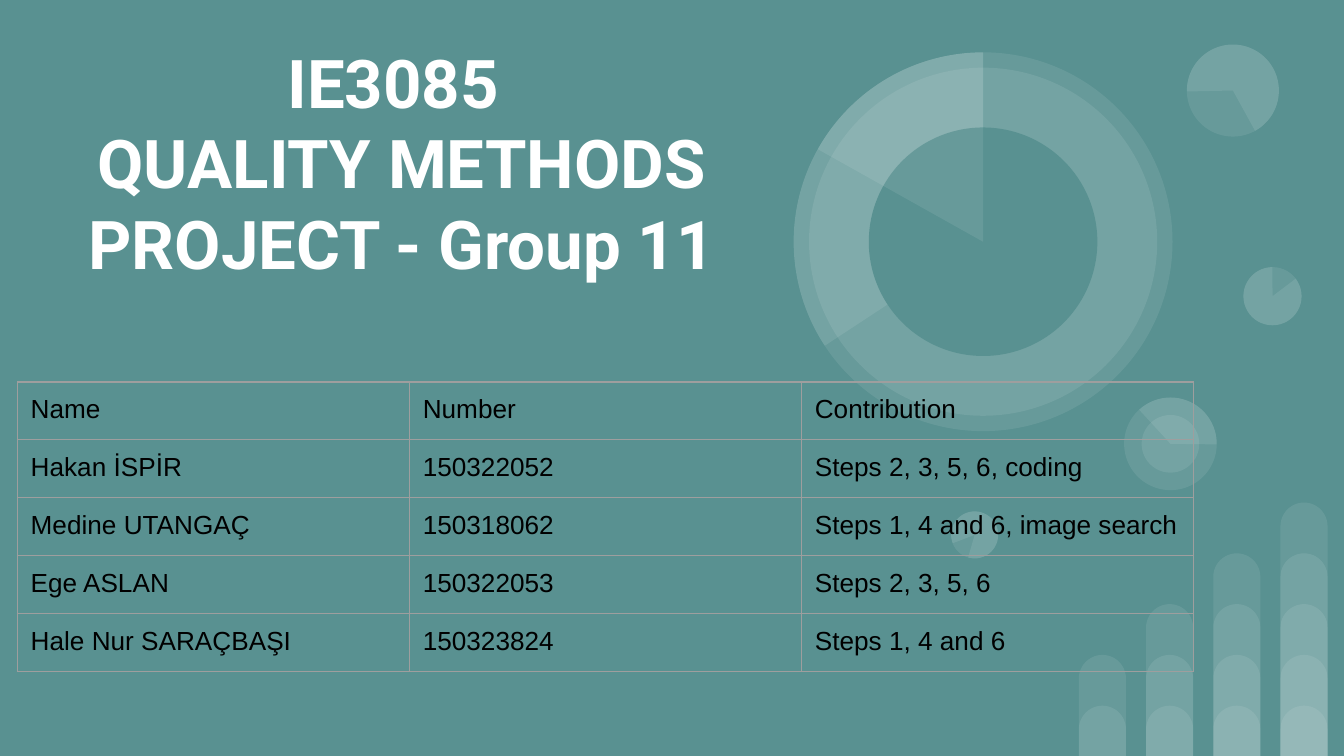
from dataclasses import dataclass
from typing import Any

from pptx import Presentation as Deck
from pptx.dml.color import RGBColor as Rgb
from pptx.enum.shapes import MSO_SHAPE as Form
from pptx.enum.text import MSO_ANCHOR as Anchor, PP_ALIGN as Align
from pptx.oxml.ns import qn
from pptx.util import Cm, Pt
from lxml.etree import SubElement as Sub

HUES = {"teal": "599191", "white": "FFFFFF", "black": "000000", "grey": "9E9E9E"}
WIDE, HIGH = 25.4, 14.29
PAD = Cm(0.25)
PADS = {"margin_left": PAD, "margin_right": PAD, "margin_top": PAD, "margin_bottom": PAD}
HEAD = {"name": "Roboto", "size": Pt(36), "bold": True}
BODY = {"name": "Arial", "size": Pt(14), "bold": False}


@dataclass
class Disc:
    x: float
    y: float
    size: float
    turn: float = 0
    hue: str = "white"
    clear: bool = True


@dataclass
class Slice:
    disc: Disc
    start: float
    end: float = 270


@dataclass
class Stack:
    left: float
    count: int


RING = Disc(18.58, 4.57, 7.16)
TOP = Disc(23.3, 1.71, 1.74, 215.9)
SIDE = Disc(24.05, 5.6, 1.1)
DONUT = Disc(22.12, 8.39, 1.75, 90)
DOT = Disc(18.42, 10.11, 0.89, 196.2)
PARTS = [
    SIDE,
    DOT,
    DONUT,
    Slice(DONUT, 137.41, 270.77),
    Disc(22.12, 8.39, 1.09, 90),
    Slice(SIDE, 322.95),
    TOP,
    Slice(TOP, 322.95, 205.23),
    RING,
    Disc(18.58, 4.57, 6.58, 34.1),
    Slice(RING, 146.69),
    Disc(18.58, 4.57, 4.32, 34.1, "teal", False),
    Slice(RING, 209.24),
    Slice(DOT, 322.95),
]
STACKS = [Stack(20.39 + 1.27 * n, n + 2) for n in range(4)]
ROWS = [
    ("Name", "Number", "Contribution"),
    ("Hakan İSPİR", "150322052", "Steps 2, 3, 5, 6, coding"),
    ("Medine UTANGAÇ", "150318062", "Steps 1, 4 and 6, image search"),
    ("Ege ASLAN", "150322053", "Steps 2, 3, 5, 6"),
    ("Hale Nur SARAÇBAŞI", "150323824", "Steps 1, 4 and 6"),
]


def apply(item: Any, style: dict[str, Any]) -> None:
    for key, value in style.items():
        setattr(item, key, value)


def style_font(font: Any, style: dict[str, Any], hue: str) -> None:
    apply(font, style)
    font.color.rgb = Rgb.from_string(HUES[hue])


def add_form(slide: Any, form: Form, box: tuple[float, ...], adjust: tuple[float, ...] = (),
             turn: float = 0, hue: str = "white", clear: bool = True) -> None:
    shape = slide.shapes.add_shape(form, *map(Cm, box))
    apply(shape, {"rotation": turn})
    shape.shadow.inherit = False
    shape.line.fill.background()
    shape.fill.solid()
    shape.fill.fore_color.rgb = Rgb.from_string(HUES[hue])
    for n, value in enumerate(adjust):
        shape.adjustments[n] = value
    if clear:
        tint = shape._element.spPr.find(qn("a:solidFill"))[0]
        Sub(tint, qn("a:alpha"), val="9000")


def add_part(slide: Any, part: Disc | Slice) -> None:
    disc, form, adjust = part, Form.OVAL, ()
    if isinstance(part, Slice):
        disc, form = part.disc, Form.PIE
        adjust = (part.start * 0.6, part.end * 0.6)
    half = disc.size / 2
    box = (disc.x - half, disc.y - half, disc.size, disc.size)
    add_form(slide, form, box, adjust, disc.turn, disc.hue, disc.clear)


def add_stack(slide: Any, stack: Stack) -> None:
    for n in range(stack.count):
        tall = 0.95 + 0.96 * n
        box = (stack.left, HIGH - tall, 0.89, tall)
        add_form(slide, Form.ROUND_2_SAME_RECTANGLE, box, (0.5, 0))


def add_title(slide: Any, lines: list[str]) -> None:
    frame = slide.shapes.add_textbox(Cm(0.33), Cm(0.46), Cm(14.53), Cm(5.21)).text_frame
    apply(frame, PADS | {"word_wrap": True, "vertical_anchor": Anchor.MIDDLE})
    frame.text = "\n".join(lines)
    for para in frame.paragraphs:
        para.alignment = Align.CENTER
        style_font(para.runs[0].font, HEAD, "white")


def add_edges(cell: Any) -> None:
    props = cell._tc.get_or_add_tcPr()
    for side in ("lnL", "lnR", "lnT", "lnB"):
        edge = Sub(props, qn(f"a:{side}"), w=str(Pt(0.75)))
        fill = Sub(edge, qn("a:solidFill"))
        Sub(fill, qn("a:srgbClr"), val=HUES["grey"])


def add_grid(slide: Any, rows: list[tuple[str, ...]]) -> None:
    wide, tall = 7.41, 1.06
    count = len(rows[0])
    table = slide.shapes.add_table(len(rows), count, Cm(0.33), Cm(7.22),
                                   Cm(wide * count), Cm(tall * len(rows))).table
    apply(table, {"first_row": False, "horz_banding": False})
    for col in table.columns:
        col.width = Cm(wide)
    for row, words in zip(table.rows, rows):
        row.height = Cm(tall)
        for cell, text in zip(row.cells, words):
            apply(cell, PADS | {"text": text})
            add_edges(cell)
            cell.fill.background()
            style_font(cell.text_frame.paragraphs[0].runs[0].font, BODY, "black")


def main() -> None:
    deck = Deck()
    apply(deck, {"slide_width": Cm(WIDE), "slide_height": Cm(HIGH)})
    slide = deck.slides.add_slide(deck.slide_layouts[6])
    slide.background.fill.solid()
    slide.background.fill.fore_color.rgb = Rgb.from_string(HUES["teal"])
    for stack in STACKS:
        add_stack(slide, stack)
    for part in PARTS:
        add_part(slide, part)
    add_title(slide, ["IE3085 ", "QUALITY METHODS PROJECT - Group 11"])
    add_grid(slide, ROWS)
    deck.save("out.pptx")


if __name__ == "__main__":
    main()
